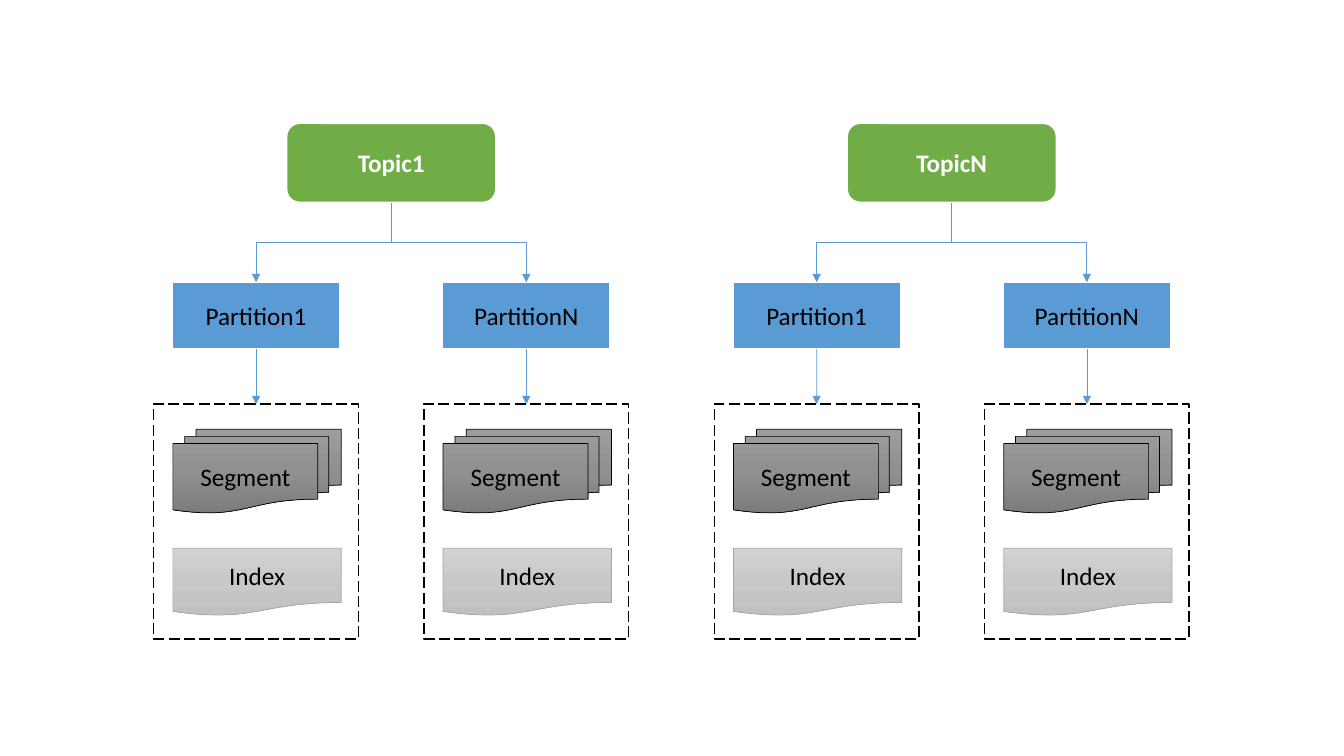
from copy import deepcopy
from dataclasses import dataclass

from pptx import Presentation
from pptx.dml.color import RGBColor
from pptx.enum import dml, shapes, text
from pptx.oxml import ns, xmlchemy
from pptx.util import Inches, Pt

COLORS = {
    "white": "FFFFFF",
    "black": "000000",
    "blue": "5B9BD5",
    "green": "70AD47",
    "gray": "A5A5A5",
    "dark top": "9D9D9D",
    "dark middle": "909090",
    "dark bottom": "7C7C7C",
    "light top": "D2D2D2",
    "light middle": "C8C8C8",
    "light bottom": "C0C0C0",
}
Kind = shapes.MSO_SHAPE


@dataclass(frozen=True)
class Node:
    kind: Kind
    top: float
    width: float
    height: float
    fill: tuple[str, ...]
    line: str
    weight: float
    ink: str = "black"
    bold: bool = False
    dashed: bool = False
    shift: float = 0


@dataclass(frozen=True)
class Topic:
    label: str
    center: float


TOPIC = Node(Kind.ROUNDED_RECTANGLE, 1.22, 2.08, 0.79, ("green",), "white", 1.5,
             ink="white", bold=True)
PARTITION = Node(Kind.RECTANGLE, 2.8, 1.67, 0.66, ("blue",), "white", 1.5)
STORE = Node(Kind.RECTANGLE, 4.01, 2.03, 2.33, ("white",), "black", 1, dashed=True)
SEGMENT = Node(Kind.FLOWCHART_MULTIDOCUMENT, 4.26, 1.67, 0.83,
               ("dark top", "dark middle", "dark bottom"), "black", 0.5, shift=0.01)
INDEX = Node(Kind.FLOWCHART_DOCUMENT, 5.44, 1.67, 0.67,
             ("light top", "light middle", "light bottom"), "gray", 0.5, shift=0.01)
TOPICS = (Topic("Topic1", 3.88), Topic("TopicN", 9.44))
BRANCHES = (("Partition1", -1), ("PartitionN", 1))
BRANCH_OFFSET = 1.34


def color(name: str) -> RGBColor:
    return RGBColor.from_string(COLORS[name])


def apply(target, values: dict) -> None:
    for name, value in values.items():
        setattr(target, name, value)


def paint(box, names: tuple[str, ...]) -> None:
    if len(names) == 1:
        box.fill.solid()
        box.fill.fore_color.rgb = color(names[0])
        return
    box.fill.gradient()
    box.fill.gradient_angle = 270
    stops = box._element.spPr.find(".//" + ns.qn("a:gsLst"))
    stops.insert(1, deepcopy(stops[0]))
    for number, (stop, name) in enumerate(zip(box.fill.gradient_stops, names)):
        stop.position = number / (len(names) - 1)
        stop.color.rgb = color(name)


def add_node(page, node: Node, center: float, label: str = ""):
    left = center + node.shift - node.width / 2
    box = page.shapes.add_shape(node.kind, Inches(left), Inches(node.top),
                                Inches(node.width), Inches(node.height))
    box.shadow.inherit = False
    paint(box, node.fill)
    box.line.color.rgb = color(node.line)
    box.line.width = Pt(node.weight)
    if node.dashed:
        box.line.dash_style = dml.MSO_LINE.LONG_DASH
    if label:
        frame = box.text_frame
        apply(frame, {"word_wrap": True, "vertical_anchor": text.MSO_ANCHOR.MIDDLE})
        para = frame.paragraphs[0]
        para.alignment = text.PP_ALIGN.CENTER
        span = para.add_run()
        span.text = label
        apply(span.font, {"name": "Calibri", "size": Pt(18), "bold": node.bold})
        span.font.color.rgb = color(node.ink)
    return box


def add_arrow(page, kind, start: tuple[float, float], end: tuple[float, float]):
    arrow = page.shapes.add_connector(kind, *map(Inches, (*start, *end)))
    arrow.line.color.rgb = color("blue")
    arrow.line.width = Pt(0.5)
    head = xmlchemy.OxmlElement("a:tailEnd")
    head.set("type", "triangle")
    arrow.line._get_or_add_ln().append(head)
    arrow._element.spPr.append(xmlchemy.OxmlElement("a:effectLst"))
    return arrow


def add_branch_arrow(page, center: float, side: int) -> None:
    top = TOPIC.top + TOPIC.height
    drop = PARTITION.top - top
    middle_x = center + side * BRANCH_OFFSET / 2
    middle_y = top + drop / 2
    arrow = add_arrow(page, shapes.MSO_CONNECTOR.ELBOW,
                      (middle_x - drop / 2, middle_y - BRANCH_OFFSET / 2),
                      (middle_x + drop / 2, middle_y + BRANCH_OFFSET / 2))
    frame = arrow._element.spPr.find(ns.qn("a:xfrm"))
    frame.set("rot", str((90 if side < 0 else 270) * 60000))
    if side > 0:
        frame.set("flipH", "1")


def add_partition(page, label: str, center: float) -> None:
    partition = add_node(page, PARTITION, center, label)
    store = add_node(page, STORE, center)
    add_node(page, SEGMENT, center, "Segment")
    add_node(page, INDEX, center, "Index")
    arrow = add_arrow(page, shapes.MSO_CONNECTOR.STRAIGHT,
                      (center, PARTITION.top + PARTITION.height), (center, STORE.top))
    arrow.begin_connect(partition, 2)
    arrow.end_connect(store, 0)


def main() -> None:
    deck = Presentation()
    apply(deck, {"slide_width": Inches(13.33), "slide_height": Inches(7.5)})
    page = deck.slides.add_slide(deck.slide_layouts[6])
    for topic in TOPICS:
        for label, side in BRANCHES:
            add_partition(page, label, topic.center + side * BRANCH_OFFSET)
        add_node(page, TOPIC, topic.center, topic.label)
        for _, side in BRANCHES:
            add_branch_arrow(page, topic.center, side)
    deck.save("out.pptx")


if __name__ == "__main__":
    main()
